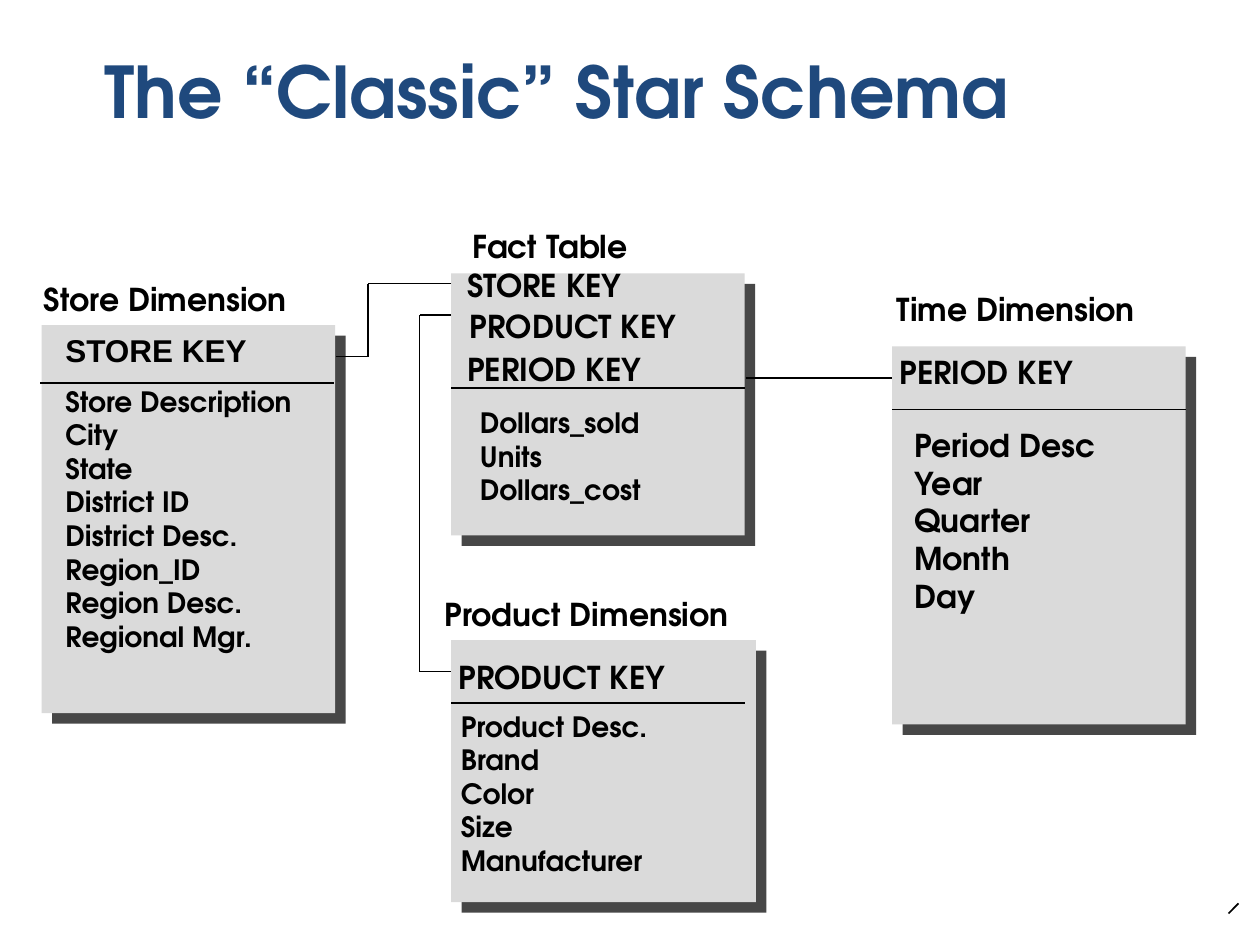
from lxml import etree
from pptx import Presentation
from pptx import util as u
from pptx.dml.color import RGBColor
from pptx.enum import shapes, text
from pptx.oxml.ns import qn

COLORS = {"title": "1F497D", "ink": "000000", "box": "DADADA", "shadow": "474747"}
FONT = "TeX Gyre Adventor"
LINE_HEIGHT = {18: 0.3, 16: 0.267}
INSET = 0.05

TITLE = "The “Classic” Star Schema"

# box: left, top, width, height; rule: left, top; labels: left, top, width
TABLES = [
    {"box": (0.33, 2.58, 2.33, 3.08), "rule": (0.32, 3.04),
     "name": ("Store Dimension", 0.25, 2.17, 2.43),
     "keys": [("STORE KEY", 0.42, 2.58, 1.65)], "key_font": "Arial",
     "fields": (["Store Description", "City", "State", "District ID", "District Desc.",
                 "Region_ID", "Region Desc.", "Regional Mgr."], 0.42, 3, 2.35)},
    {"box": (3.58, 5.08, 2.42, 2.08), "rule": (3.58, 5.58),
     "name": ("Product Dimension", 3.43, 4.67, 2.59),
     "keys": [("PRODUCT KEY", 3.54, 5.17, 1.93)],
     "fields": (["Product Desc.", "Brand", "Color", "Size", "Manufacturer"],
                3.56, 5.58, 1.74)},
    {"box": (3.58, 2.17, 2.33, 2.08), "rule": (3.58, 3.08),
     "name": ("Fact Table", 3.65, 1.75, 1.47),
     "keys": [("STORE KEY", 3.61, 2.06, 1.52), ("PRODUCT KEY", 3.63, 2.39, 1.93),
              ("PERIOD KEY", 3.61, 2.73, 1.67)],
     "fields": (["Dollars_sold", "Units", "Dollars_cost"], 3.71, 3.17, 1.53)},
    {"box": (7.08, 2.75, 2.33, 3), "rule": (7.08, 3.25),
     "name": ("Time Dimension", 7.02, 2.25, 2.22),
     "keys": [("PERIOD KEY", 7.04, 2.75, 1.67)],
     "fields": (["Period Desc", "Year", "Quarter", "Month", "Day"], 7.16, 3.33, 1.66),
     "field_size": 18},
]
RULE_WIDTH = 2.33

# Each link is a chain of corner points
LINKS = [
    [(5.92, 3), (7.08, 3)],
    [(3.58, 2.5), (3.33, 2.5), (3.33, 5.33), (3.58, 5.33)],
    [(3.58, 2.25), (2.92, 2.25), (2.92, 2.83), (2.67, 2.83)],
    [(9.83, 7.17), (9.75, 7.25)],
]


def rgb(name):
    return RGBColor.from_string(COLORS[name])


def write(frame, lines, *, size, color="ink", font=FONT, spacing=None):
    for i, line in enumerate(lines):
        paragraph = frame.paragraphs[0] if i == 0 else frame.add_paragraph()
        paragraph.alignment = text.PP_ALIGN.LEFT
        paragraph.line_spacing = spacing
        run = paragraph.add_run()
        run.text = line
        run.font.name = font
        run.font.size = u.Pt(size)
        run.font.bold = True
        run.font.color.rgb = rgb(color)


def add_label(slide, lines, left, top, width, *, size=18, font=FONT):
    height = len(lines) * LINE_HEIGHT[size] + 2 * INSET
    label = slide.shapes.add_textbox(*map(u.Inches, (left, top, width, height)))
    frame = label.text_frame
    frame.word_wrap = False
    frame.auto_size = text.MSO_AUTO_SIZE.SHAPE_TO_FIT_TEXT
    write(frame, lines, size=size, font=font)


def add_box(slide, bounds):
    """Add a borderless panel with a hard shadow to its lower right."""
    box = slide.shapes.add_shape(shapes.MSO_SHAPE.RECTANGLE, *map(u.Inches, bounds))
    box.fill.solid()
    box.fill.fore_color.rgb = rgb("box")
    box.line.fill.background()
    box.shadow.inherit = False
    effects = box.element.spPr.find(qn("a:effectLst"))
    shadow = etree.SubElement(effects, qn("a:outerShdw"), dist=str(u.Pt(8.5)),
                              dir=str(45 * 60000), algn="ctr", rotWithShape="0")
    etree.SubElement(shadow, qn("a:srgbClr"), val=COLORS["shadow"])


def add_line(slide, start, end, width=1):
    line = slide.shapes.add_connector(shapes.MSO_CONNECTOR.STRAIGHT,
                                      *map(u.Inches, (*start, *end)))
    line.line.color.rgb = rgb("ink")
    line.line.width = u.Pt(width)
    etree.SubElement(line.element.spPr, qn("a:effectLst"))


def add_title(slide):
    title = slide.shapes.title
    title.left, title.top, title.width, title.height = map(u.Inches, (0.83, 0.33, 9.17, 0.73))
    frame = title.text_frame
    frame.margin_left = frame.margin_right = frame.margin_top = frame.margin_bottom = 0
    frame.vertical_anchor = text.MSO_ANCHOR.BOTTOM
    frame.word_wrap = True
    frame.auto_size = text.MSO_AUTO_SIZE.NONE
    write(frame, [TITLE], size=40.7, color="title", spacing=0.9)


def add_table_panel(slide, table):
    add_box(slide, table["box"])
    left, top = table["rule"]
    add_line(slide, (left, top), (left + RULE_WIDTH, top))
    name, *place = table["name"]
    add_label(slide, [name], *place)
    for key, *place in table["keys"]:
        add_label(slide, [key], *place, font=table.get("key_font", FONT))
    fields, *place = table["fields"]
    add_label(slide, fields, *place, size=table.get("field_size", 16))


def main():
    deck = Presentation()
    deck.slide_width, deck.slide_height = u.Inches(10), u.Inches(7.5)
    slide = deck.slides.add_slide(deck.slide_layouts.get_by_name("Title Only"))
    add_title(slide)
    for table in TABLES:
        add_table_panel(slide, table)
    for corners in LINKS:
        for start, end in zip(corners, corners[1:]):
            add_line(slide, start, end, width=0.75 if start == (2.92, 2.25) else 1)
    deck.save("out.pptx")


if __name__ == "__main__":
    main()
